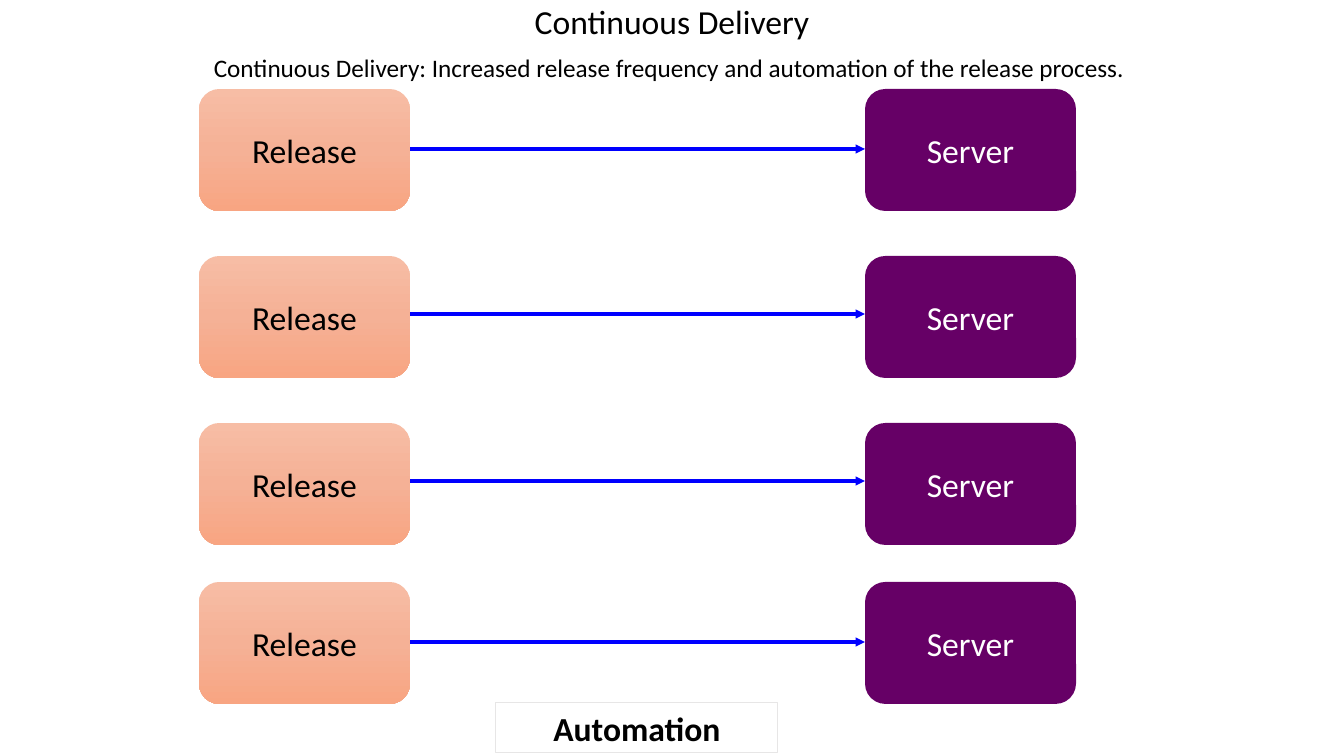
from copy import deepcopy
from dataclasses import dataclass

from pptx import Presentation
from pptx.dml.color import RGBColor
from pptx.enum.shapes import MSO_CONNECTOR, MSO_SHAPE
from pptx.enum.text import MSO_ANCHOR, PP_ALIGN
from pptx.oxml.ns import qn
from pptx.oxml.xmlchemy import OxmlElement
from pptx.util import Emu, Pt

EMU_PER_PX = 914400 / 100.8
PAGE_WIDTH, PAGE_HEIGHT = 1344, 756
BOX_WIDTH, BOX_HEIGHT = 211, 122
RELEASE_LEFT, SERVER_LEFT = 199, 865
ROWS = [(89, 149), (256, 314), (423, 481), (582, 642)]


@dataclass(frozen=True)
class Theme:
    """Colours, font and type sizes of the slide."""
    font: str = "Calibri"
    heading: int = 24
    body: int = 18
    ink: str = "000000"
    paper: str = "FFFFFF"
    arrow: str = "0000FF"
    server: str = "660066"
    frame: str = "E7E6E6"
    release: tuple = ("F7BDA5", "F5B196", "F8A582")


THEME = Theme()


def px(length):
    """Turn pixels into EMU."""
    return Emu(round(length * EMU_PER_PX))


def rgb(colour):
    """Turn a hex string into a colour."""
    return RGBColor.from_string(colour)


def write(para, text, size=THEME.heading, colour=THEME.ink, bold=False, line=None, before=0):
    """Put one centred, formatted span of text into a paragraph."""
    para.alignment = PP_ALIGN.CENTER
    para.space_before = Pt(before)
    if line:
        para.line_spacing = line
    span = para.add_run()
    span.text = text
    span.font.name = THEME.font
    span.font.size = Pt(size)
    span.font.bold = bold
    span.font.color.rgb = rgb(colour)


def add_heading(page):
    """Fill the subtitle placeholder with the heading and its definition."""
    title = page.shapes.title.element
    title.getparent().remove(title)
    box = page.placeholders[1]
    box.left, box.top = px(0), px(0)
    box.width, box.height = px(PAGE_WIDTH), px(PAGE_HEIGHT)
    frame = box.text_frame
    frame.vertical_anchor = MSO_ANCHOR.TOP
    write(frame.paragraphs[0], "Continuous Delivery", line=0.9)
    write(
        frame.add_paragraph(),
        "Continuous Delivery: Increased release frequency and automation of the release process. ",
        size=THEME.body, line=0.9, before=10,
    )


def add_box(page, preset, left, top, width, height, text, **format):
    """Add an unfilled, unlined shape with centred text."""
    box = page.shapes.add_shape(preset, px(left), px(top), px(width), px(height))
    box.shadow.inherit = False
    box.fill.background()
    box.line.fill.background()
    box.text_frame.word_wrap = True
    box.text_frame.vertical_anchor = MSO_ANCHOR.MIDDLE
    write(box.text_frame.paragraphs[0], text, **format)
    return box


def shade(box, colours):
    """Fill a box with an even gradient from top to bottom."""
    box.fill.gradient()
    box.fill.gradient_angle = 270
    stops = box.element.spPr.find(qn("a:gradFill")).find(qn("a:gsLst"))
    stops.insert(1, deepcopy(stops[0]))
    for index, (stop, colour) in enumerate(zip(box.fill.gradient_stops, colours)):
        stop.position = index / (len(colours) - 1)
        stop.color.rgb = rgb(colour)


def add_arrow(page, start, end, level):
    """Add a horizontal arrow."""
    arrow = page.shapes.add_connector(
        MSO_CONNECTOR.STRAIGHT, px(start), px(level), px(end), px(level))
    arrow.line.color.rgb = rgb(THEME.arrow)
    arrow.line.width = Pt(2.25)
    tail = OxmlElement("a:tailEnd")
    tail.set("type", "triangle")
    arrow.line._get_or_add_ln().append(tail)
    arrow.element.spPr.append(OxmlElement("a:effectLst"))


def add_release_row(page, top, level):
    """Add a release, its server and the arrow between them."""
    add_arrow(page, RELEASE_LEFT + BOX_WIDTH, SERVER_LEFT, level)
    release = add_box(page, MSO_SHAPE.ROUNDED_RECTANGLE, RELEASE_LEFT, top,
                      BOX_WIDTH, BOX_HEIGHT, "Release")
    shade(release, THEME.release)
    server = add_box(page, MSO_SHAPE.ROUNDED_RECTANGLE, SERVER_LEFT, top,
                     BOX_WIDTH, BOX_HEIGHT, "Server", colour=THEME.paper)
    server.fill.solid()
    server.fill.fore_color.rgb = rgb(THEME.server)


def add_caption(page):
    """Add the framed caption under the rows."""
    caption = add_box(page, MSO_SHAPE.RECTANGLE, 496, 703, 282, 50, "Automation", bold=True)
    caption.line.color.rgb = rgb(THEME.frame)
    caption.line.width = Pt(0.75)


def main():
    """Build and save the deck."""
    deck = Presentation()
    deck.slide_width, deck.slide_height = px(PAGE_WIDTH), px(PAGE_HEIGHT)
    page = deck.slides.add_slide(deck.slide_layouts[0])
    add_heading(page)
    for top, level in ROWS:
        add_release_row(page, top, level)
    add_caption(page)
    deck.save("out.pptx")


if __name__ == "__main__":
    main()
